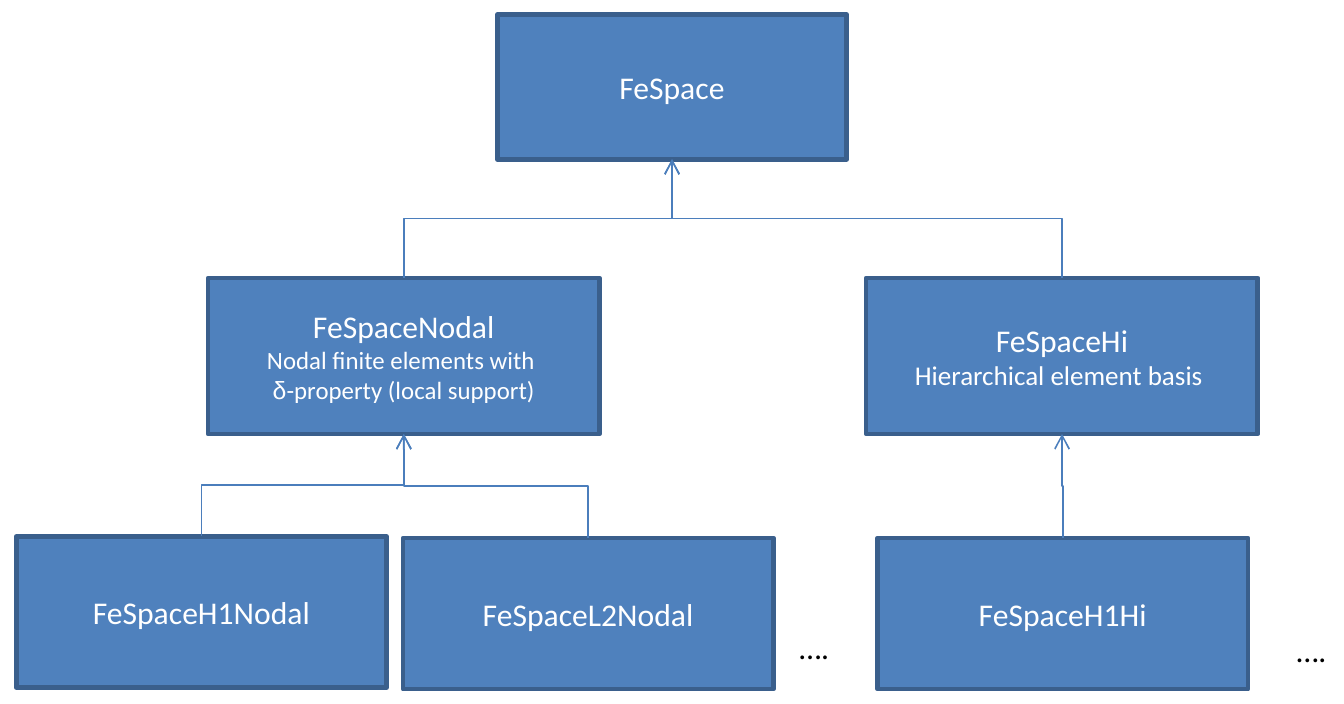
from pptx import Presentation
from pptx.dml.color import RGBColor
from pptx.enum import shapes, text
from pptx.oxml import ns
from pptx.util import Inches, Pt
from lxml import etree

CLASSES = {
    "FeSpace": (3.06, 0.09, 2.15, 0.89),
    "FeSpaceNodal": (1.28, 1.71, 2.41, 0.96),
    "FeSpaceHi": (5.33, 1.71, 2.41, 0.96),
    "FeSpaceH1Nodal": (0.1, 3.3, 2.28, 0.93),
    "FeSpaceL2Nodal": (2.48, 3.31, 2.28, 0.93),
    "FeSpaceH1Hi": (5.4, 3.31, 2.28, 0.93),
}
DETAILS = {
    "FeSpaceNodal": [("Nodal finite elements with ", 11, "Calibri"), "\n",
                     ("δ", 11, "Arial"),
                     ("-property (local support)", 11, "Calibri")],
    "FeSpaceHi": [("Hierarchical element basis ", 12, "Calibri")],
}
PARENTS = [
    ("FeSpaceNodal", "FeSpace"),
    ("FeSpaceHi", "FeSpace"),
    ("FeSpaceL2Nodal", "FeSpaceNodal"),
    ("FeSpaceH1Nodal", "FeSpaceNodal"),
    ("FeSpaceH1Hi", "FeSpaceHi"),
]
ELLIPSES = [(7.88, 3.83), (4.82, 3.81)]

prs = Presentation()
prs.slide_width, prs.slide_height = Inches(8.27), Inches(4.33)
s = prs.slides.add_slide(prs.slide_layouts[6])


def paint(color_format, value):
    color_format.rgb = RGBColor.from_string(value)


def write(tf, paragraphs, color="FFFFFF", align=text.PP_ALIGN.CENTER,
          anchor=text.MSO_ANCHOR.MIDDLE, wrap=True):
    tf.word_wrap = wrap
    tf.vertical_anchor = anchor
    for i, runs in enumerate(paragraphs):
        p = tf.add_paragraph() if i else tf.paragraphs[0]
        p.alignment = align
        for run in runs:
            if run == "\n":
                p.add_line_break()
                continue
            r = p.add_run()
            r.text, size, r.font.name = run
            r.font.size = Pt(size)
            paint(r.font.color, color)


def add_class(name):
    sp = s.shapes.add_shape(shapes.MSO_SHAPE.RECTANGLE, *map(Inches, CLASSES[name]))
    sp.shadow.inherit = False
    sp.fill.solid()
    paint(sp.fill.fore_color, "4F81BD")
    paint(sp.line.color, "3A5F8C")
    sp.line.width = Pt(2)
    paragraphs = [[(name, 14, "Calibri")]]
    if name in DETAILS:
        paragraphs.append(DETAILS[name])
    write(sp.text_frame, paragraphs)


def add_arrow(child, parent):
    left, y1, width, _ = CLASSES[child]
    x1 = left + width / 2
    left, top, width, height = CLASSES[parent]
    x2, y2 = left + width / 2, top + height
    cx, cy = (x1 + x2) / 2, (y1 + y2) / 2
    rise, run = (y1 - y2) / 2, abs(x2 - x1) / 2
    side = 1 if x2 >= x1 else -1
    # endpoints before the quarter turn
    ends = (cx + side * rise, cy + run, cx - side * rise, cy - run)
    c = s.shapes.add_connector(shapes.MSO_CONNECTOR.ELBOW, *map(Inches, ends))
    paint(c.line.color, "4B7EBC")
    c.line.width = Pt(0.75)
    pr = c._element.spPr
    pr.find(ns.qn("a:xfrm")).set("rot", str((90 if side > 0 else 270) * 60000))
    ln = pr.find(ns.qn("a:ln"))
    etree.SubElement(ln, ns.qn("a:tailEnd"), type="arrow")
    etree.SubElement(pr, ns.qn("a:effectLst"))


for name in CLASSES:
    add_class(name)
for child, parent in PARENTS:
    add_arrow(child, parent)
for x, y in ELLIPSES:
    box = s.shapes.add_textbox(*map(Inches, (x, y, 0.44, 0.4)))
    write(box.text_frame, [[("….", 14, "Calibri")]], color="000000",
          align=text.PP_ALIGN.LEFT, anchor=text.MSO_ANCHOR.TOP, wrap=False)

prs.save("out.pptx")
